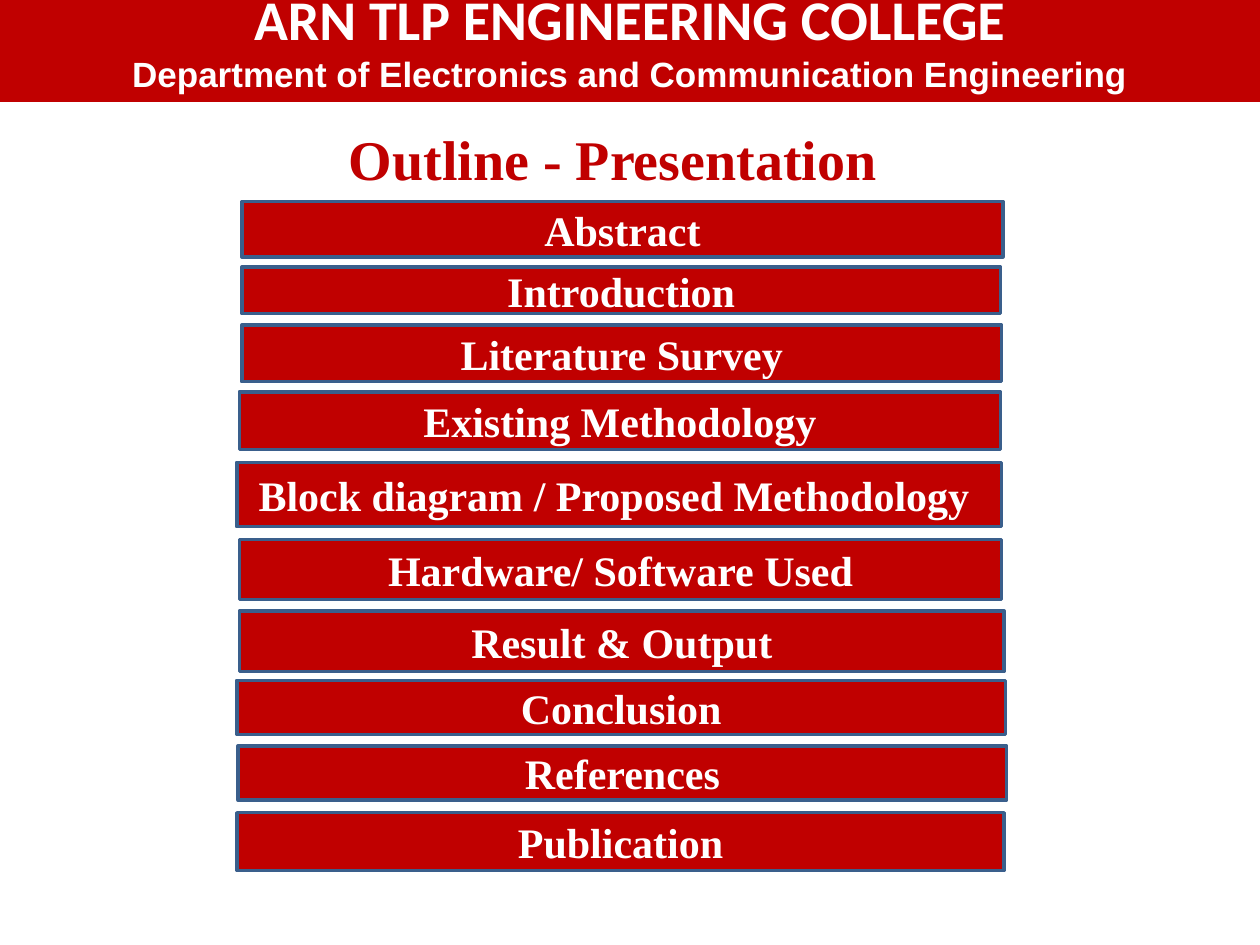
from dataclasses import dataclass

from pptx import Presentation
from pptx.dml.color import RGBColor
from pptx.enum.shapes import MSO_SHAPE
from pptx.enum.text import MSO_ANCHOR, PP_ALIGN
from pptx.util import Inches, Pt

RECTANGLE = MSO_SHAPE.RECTANGLE
TOP, MIDDLE = MSO_ANCHOR.TOP, MSO_ANCHOR.MIDDLE
LEFT, CENTER = PP_ALIGN.LEFT, PP_ALIGN.CENTER


@dataclass(frozen=True)
class Theme:
    red: RGBColor = RGBColor(0xC0, 0x00, 0x00)
    blue: RGBColor = RGBColor(0x3A, 0x5F, 0x8C)
    white: RGBColor = RGBColor(0xFF, 0xFF, 0xFF)
    heading_size: int = 32
    department_size: int = 20
    topic_size: int = 24
    border_width: int = 2


THEME = Theme()

COLLEGE = {"name": "Calibri", "size": Pt(THEME.heading_size), "bold": True}
DEPARTMENT = {"name": "Arial", "size": Pt(THEME.department_size), "bold": True}
HEADING = {"name": "Times New Roman", "size": Pt(THEME.heading_size), "bold": True}
TOPIC = {"name": "Times New Roman", "size": Pt(THEME.topic_size), "bold": True}

# Each topic with the left, top, width and height of its bar
TOPICS = [
    ("Abstract", 1.92, 1.6, 6.04, 0.44),
    ("Introduction", 1.92, 2.12, 6.02, 0.37),
    ("Literature Survey", 1.92, 2.58, 6.03, 0.45),
    ("Existing Methodology", 1.9, 3.11, 6.04, 0.46),
    ("Block diagram / Proposed Methodology ", 1.88, 3.67, 6.07, 0.51),
    ("Hardware/ Software Used", 1.9, 4.28, 6.05, 0.48),
    ("Result & Output", 1.9, 4.85, 6.07, 0.48),
    ("Conclusion", 1.88, 5.4, 6.1, 0.43),
    ("References", 1.89, 5.92, 6.1, 0.43),
    ("Publication", 1.88, 6.45, 6.09, 0.46),
]


def write_lines(box, lines, color, alignment, anchor):
    """Write one paragraph for each pair of text and font format."""
    frame = box.text_frame
    frame.word_wrap = True
    frame.vertical_anchor = anchor
    for index, (text, font_format) in enumerate(lines):
        para = frame.add_paragraph() if index else frame.paragraphs[0]
        para.alignment = alignment
        span = para.add_run()
        span.text = text
        for attribute, value in font_format.items():
            setattr(span.font, attribute, value)
        span.font.color.rgb = color


def add_red_bar(page, bounds, lines, anchor, bordered):
    bar = page.shapes.add_shape(RECTANGLE, *map(Inches, bounds))
    bar.shadow.inherit = False
    bar.fill.solid()
    bar.fill.fore_color.rgb = THEME.red
    if bordered:
        bar.line.color.rgb = THEME.blue
        bar.line.width = Pt(THEME.border_width)
    else:
        bar.line.fill.background()
    write_lines(bar, lines, THEME.white, CENTER, anchor)


def add_heading(page, bounds, text):
    box = page.shapes.add_textbox(*map(Inches, bounds))
    write_lines(box, [(text, HEADING)], THEME.red, LEFT, TOP)


def main():
    deck = Presentation()
    deck.slide_width, deck.slide_height = Inches(10), Inches(7.5)
    page = deck.slides.add_slide(deck.slide_layouts[6])

    banner = [
        ("ARN TLP ENGINEERING COLLEGE", COLLEGE),
        ("Department of Electronics and Communication Engineering", DEPARTMENT),
    ]
    add_red_bar(page, (0, -0.17, 10, 0.98), banner, TOP, bordered=False)
    add_heading(page, (2.67, 0.94, 5.75, 0.64), "Outline - Presentation")
    for topic, *bounds in TOPICS:
        add_red_bar(page, bounds, [(topic, TOPIC)], MIDDLE, bordered=True)

    deck.save("out.pptx")


if __name__ == "__main__":
    main()
